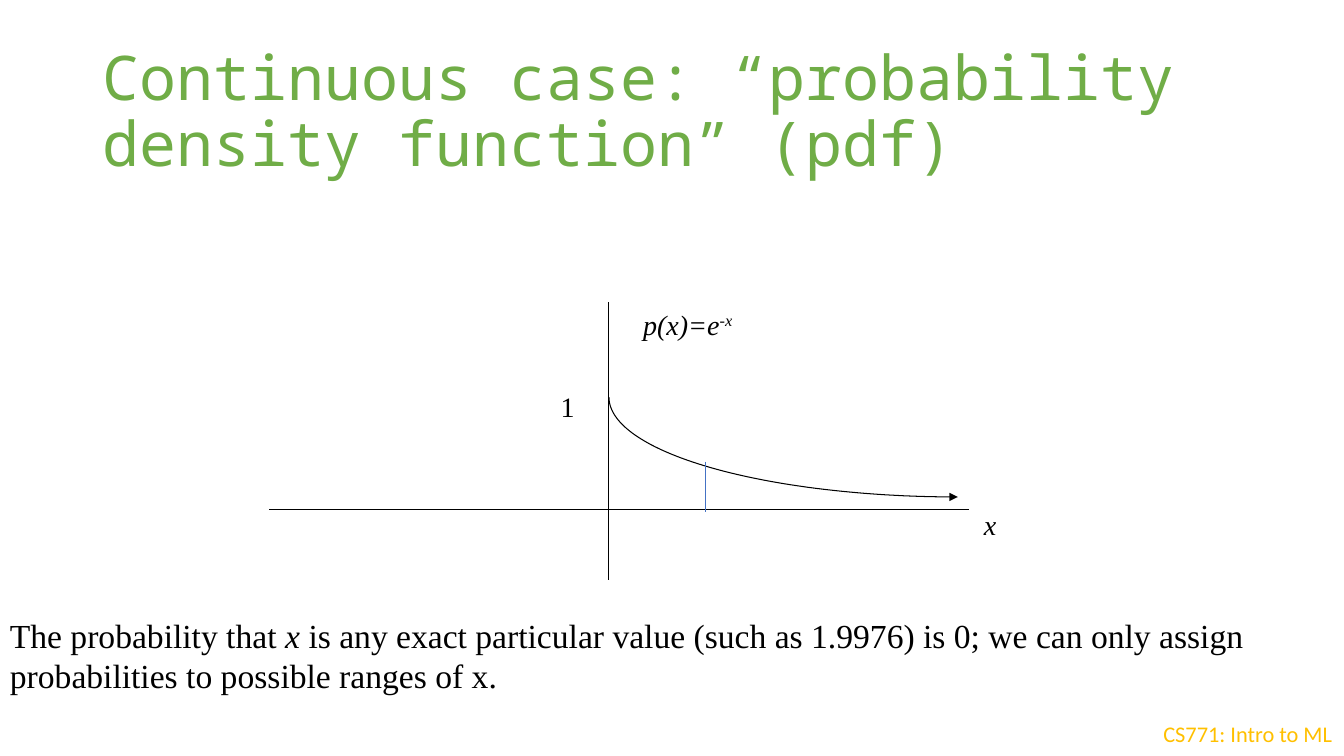
"""Build a slide that shows the exponential probability density function."""
import math

import lxml.etree
import pptx
import pptx.dml.color
import pptx.enum.shapes
import pptx.enum.text
import pptx.oxml.ns
import pptx.util

BLACK = pptx.dml.color.RGBColor(0x00, 0x00, 0x00)
GREEN = pptx.dml.color.RGBColor(0x70, 0xAD, 0x47)
GOLD = pptx.dml.color.RGBColor(0xFF, 0xC0, 0x00)
BLUE = pptx.dml.color.RGBColor(0x44, 0x72, 0xC4)

PX = 9144
PLAIN, ITALIC, SUPERSCRIPT = "plain", "italic", "superscript"


class SlideBuilder:
    """Hold the style and the current slide, and draw each kind of element."""

    title_font = "Noto Sans Mono"
    body_font = "Times New Roman"
    footer_font = "Calibri"
    line_width = pptx.util.Pt(0.75)
    curve_steps = 60

    def __init__(self, presentation):
        self.slide = presentation.slides.add_slide(presentation.slide_layouts[5])

    def style(self, paragraph, font_name, size, color):
        paragraph.font.name = font_name
        paragraph.font.size = pptx.util.Pt(size)
        paragraph.font.color.rgb = color

    def title(self, text, left, top, width, height):
        shape = self.slide.shapes.title
        shape.left, shape.top = left * PX, top * PX
        shape.width, shape.height = width * PX, height * PX
        frame = shape.text_frame
        frame.text = text
        frame.auto_size = pptx.enum.text.MSO_AUTO_SIZE.NONE
        frame.vertical_anchor = pptx.enum.text.MSO_ANCHOR.MIDDLE
        paragraph = frame.paragraphs[0]
        paragraph.alignment = pptx.enum.text.PP_ALIGN.LEFT
        paragraph.line_spacing = 0.9
        self.style(paragraph, self.title_font, 44, GREEN)

    def text(self, runs, left, top, width, height, size=20, color=BLACK,
             font_name=body_font, margins=(10, 5, 10, 5), wrap=True):
        shape = self.slide.shapes.add_textbox(left * PX, top * PX, width * PX, height * PX)
        frame = shape.text_frame
        frame.word_wrap = wrap
        (frame.margin_left, frame.margin_top,
         frame.margin_right, frame.margin_bottom) = [margin * PX for margin in margins]
        paragraph = frame.paragraphs[0]
        self.style(paragraph, font_name, size, color)
        for words, kind in runs:
            run = paragraph.add_run()
            run.text = words
            if kind != PLAIN:
                run.font.italic = True
            if kind == SUPERSCRIPT:
                run._r.get_or_add_rPr().set("baseline", "30000")

    def line(self, start_x, start_y, end_x, end_y, color=BLACK):
        connector = self.slide.shapes.add_connector(
            pptx.enum.shapes.MSO_CONNECTOR.STRAIGHT,
            start_x * PX, start_y * PX, end_x * PX, end_y * PX)
        connector.line.color.rgb = color
        connector.line.width = self.line_width
        lxml.etree.SubElement(connector._element.spPr, pptx.oxml.ns.qn("a:effectLst"))

    def decay_curve(self, left, top, width, height):
        points = []
        for step in range(self.curve_steps + 1):
            angle = math.pi / 2 * step / self.curve_steps
            points.append(((left + width * (1 - math.cos(angle))) * PX,
                           (top + height * math.sin(angle)) * PX))
        builder = self.slide.shapes.build_freeform(*points[0])
        builder.add_line_segments(points[1:], close=False)
        shape = builder.convert_to_shape()
        shape.shadow.inherit = False
        shape.fill.background()
        shape.line.color.rgb = BLACK
        shape.line.width = self.line_width
        lxml.etree.SubElement(shape.line._get_or_add_ln(),
                              pptx.oxml.ns.qn("a:tailEnd"), type="triangle")


def main():
    presentation = pptx.Presentation()
    presentation.slide_width = 1333 * PX
    presentation.slide_height = 750 * PX
    builder = SlideBuilder(presentation)

    builder.text([("CS771: Intro to ML", PLAIN)], 1144, 710, 190, 37, size=16,
                 color=GOLD, font_name=builder.footer_font, wrap=False)
    builder.title("Continuous case: “probability density function” (pdf)", 92, 40, 1150, 145)

    builder.line(604, 300, 604, 575)
    builder.line(267, 505, 961, 505)
    builder.text([("x", ITALIC)], 966, 499, 68, 50)
    builder.text([("p(x)=e", ITALIC), ("-x", SUPERSCRIPT)], 628, 300, 272, 42)
    builder.decay_curve(604, 394, 346, 99)
    builder.text([("1", PLAIN)], 556, 386, 19, 30, margins=(0, 0, 0, 0))

    builder.text([("The probability that ", PLAIN), ("x", ITALIC),
                  (" is any exact particular value (such as 1.9976) is 0; "
                   "we can only assign probabilities to possible ranges of x.", PLAIN)],
                 0, 605, 1333, 86, size=24, margins=(10, 5, 10, 0))
    builder.line(700, 458, 700, 508, BLUE)

    presentation.save("out.pptx")


if __name__ == "__main__":
    main()
